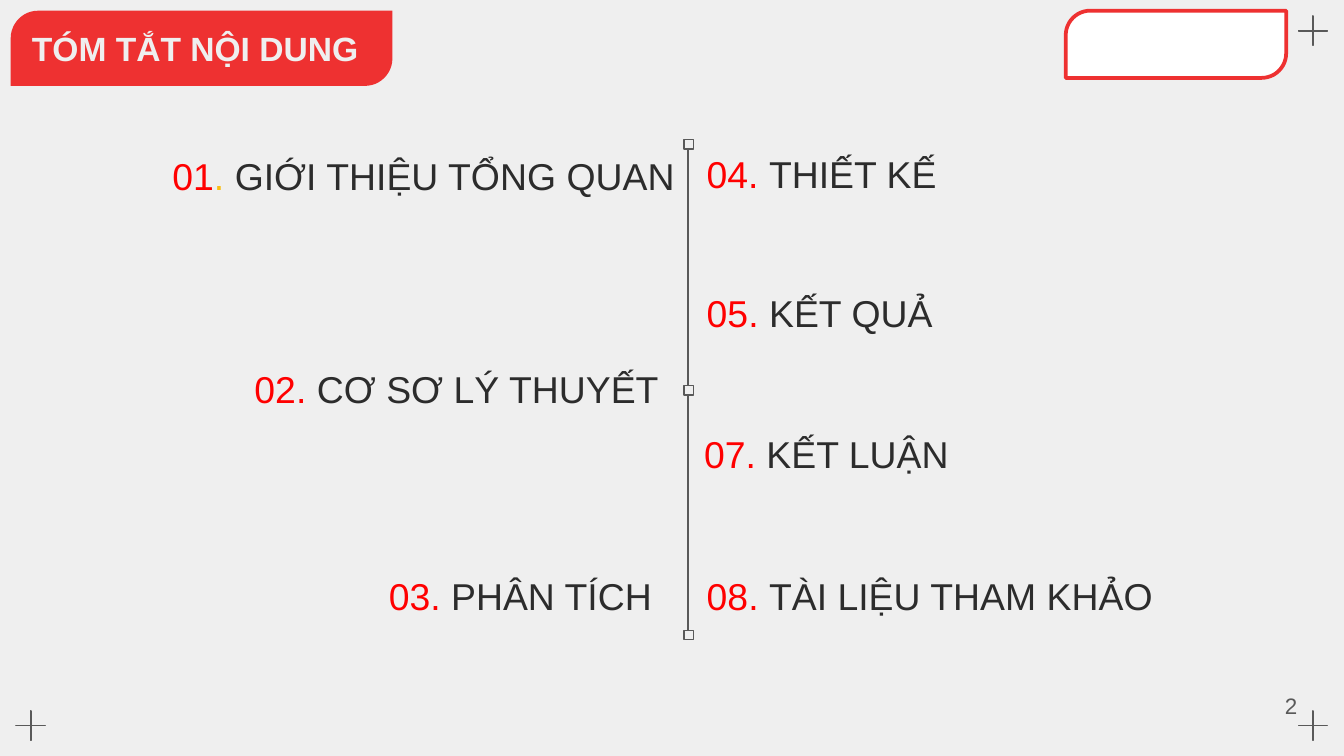
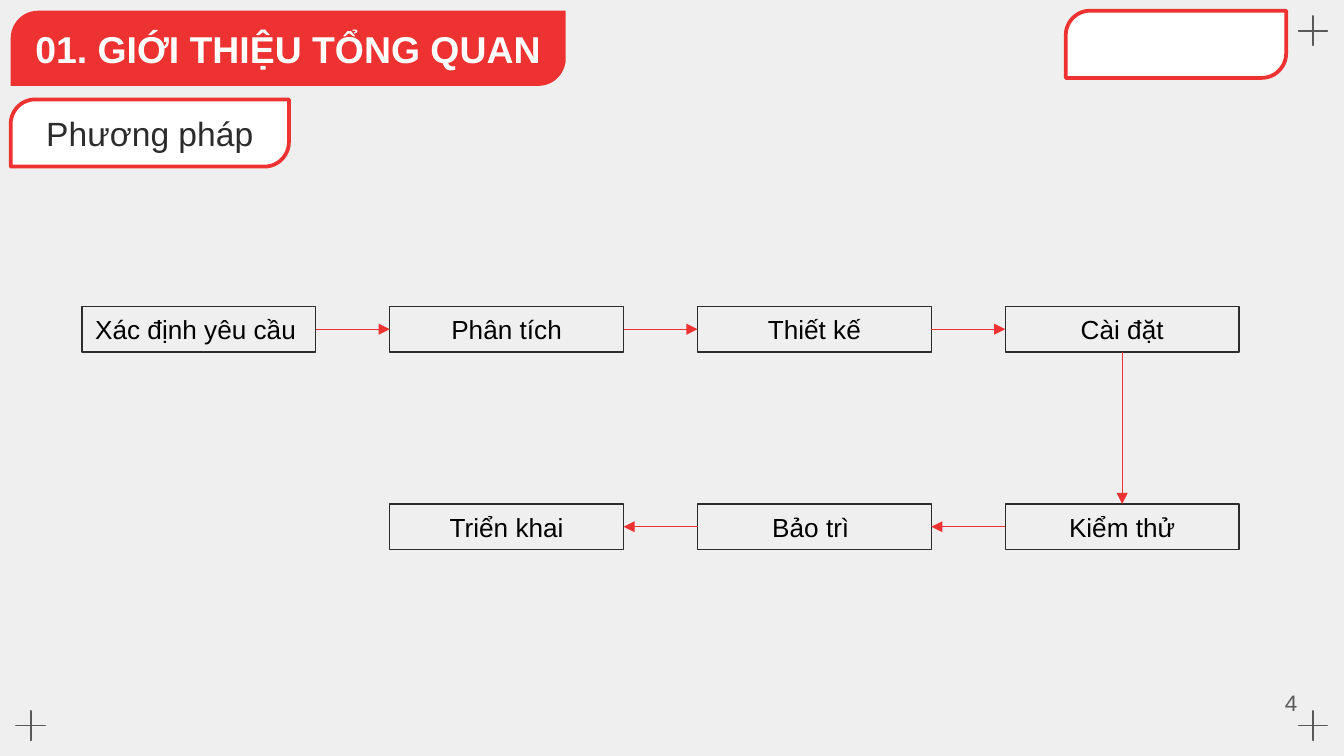
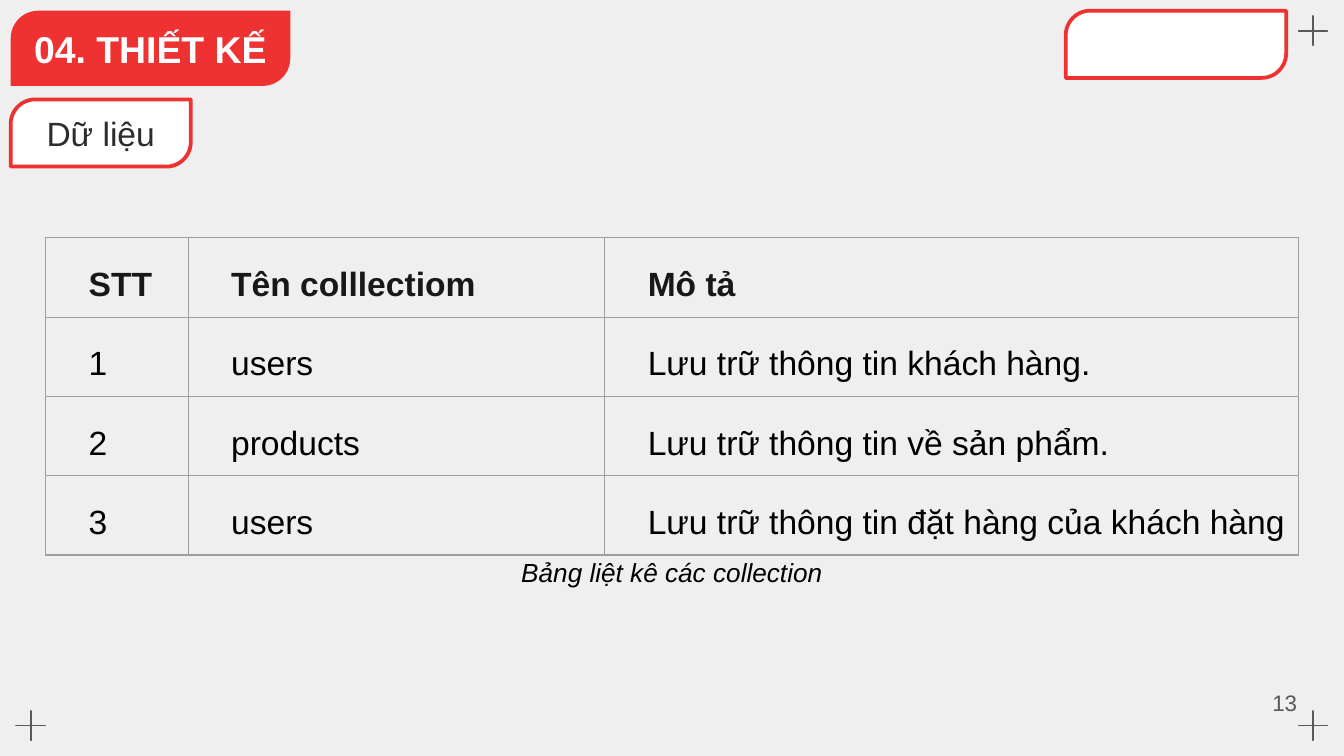
from lxml import etree
from pptx import Presentation
from pptx.dml.color import RGBColor
from pptx.enum import shapes as sh, text as tx
from pptx.oxml import ns
from pptx.util import Inches, Pt

RED = RGBColor(0xEE, 0x31, 0x31)
BRIGHT = RGBColor(0xFF, 0x00, 0x00)
GOLD = RGBColor(0xFA, 0xBE, 0x12)
PALE = RGBColor(0xEF, 0xEF, 0xEF)
WHITE = RGBColor(0xFF, 0xFF, 0xFF)
BLACK = RGBColor(0x00, 0x00, 0x00)
INK = RGBColor(0x18, 0x18, 0x18)
DARK = RGBColor(0x2C, 0x2C, 0x2C)
GREY = RGBColor(0x59, 0x59, 0x59)
RULE = "9E9E9E"

LEFT, MID, RIGHT = tx.PP_ALIGN.LEFT, tx.PP_ALIGN.CENTER, tx.PP_ALIGN.RIGHT
RECT = sh.MSO_SHAPE.RECTANGLE
PLUS = sh.MSO_SHAPE.MATH_PLUS
LEAF = sh.MSO_SHAPE.ROUND_2_DIAG_RECTANGLE
ROUND = {PLUS: 0.007, LEAF: 0.366}


def draw(page, kind, at, fill=None, line=None, width=0.75):
    """Add a preset shape with a plain fill and outline."""
    item = page.shapes.add_shape(kind, *map(Inches, at))
    item.shadow.inherit = False
    if kind in ROUND:
        item.adjustments[0] = ROUND[kind]
    if fill is None:
        item.fill.background()
    else:
        item.fill.solid()
        item.fill.fore_color.rgb = fill
    if line is None:
        item.line.fill.background()
    else:
        item.line.color.rgb = line
        item.line.width = Pt(width)
    return item


def write(frame, runs, size, align=MID, bold=False, italic=False):
    """Fill the first paragraph with (words, colour) runs."""
    frame.word_wrap = True
    para = frame.paragraphs[0]
    para.alignment = align
    for words, tone in runs:
        run = para.add_run()
        run.text = words
        font = run.font
        font.name, font.size = "Arial", Pt(size)
        font.bold, font.italic = bold, italic
        font.color.rgb = tone
    return para


deck = Presentation()
deck.slide_width, deck.slide_height = Inches(10), Inches(5.625)

# Shared frame: corner marks, title band, empty badge, tab, page number
heads = [
    ("TÓM TẮT NỘI DUNG", 2.84, 18, PALE, LEFT, None, 0, "2", 5.1),
    ("01. GIỚI THIỆU TỔNG QUAN", 4.13, 20, WHITE, MID, "Phương pháp", 2.07, "4", 5.08),
    ("04. THIẾT KẾ", 2.08, 20, WHITE, MID, "Dữ liệu", 1.34, "13", 5.08),
]
pages = []
for title, wide, size, tone, align, tab, span, num, top in heads:
    page = deck.slides.add_slide(deck.slide_layouts[6])
    page.background.fill.solid()
    page.background.fill.fore_color.rgb = PALE
    for x, y in [(9.62, 0.08), (0.08, 5.25), (9.62, 5.25)]:
        draw(page, PLUS, (x, y, 0.3, 0.3), line=GREY)
    draw(page, LEAF, (7.93, 0.08, 1.64, 0.5), WHITE, RED, 2)
    band = draw(page, LEAF, (0.08, 0.08, wide, 0.56), RED)
    write(band.text_frame, [(title, tone)], size, align, bold=True)
    if tab:
        flag = draw(page, LEAF, (0.08, 0.74, span, 0.5), WHITE, RED, 2)
        write(flag.text_frame, [(tab, DARK)], 18)
    box = page.shapes.add_textbox(Inches(7.5), Inches(top), Inches(2.25), Inches(0.3))
    box.text_frame.vertical_anchor = tx.MSO_ANCHOR.MIDDLE
    write(box.text_frame, [(num, GREY)], 12, RIGHT)
    pages.append(page)
toc, flow, data = pages
links = []  # page, start, end, colour, arrow

# Contents: entries on both sides of the spine
items = [
    ("01", "GIỚI THIỆU TỔNG QUAN", 1.09, 1.07, 4.03, RIGHT),
    ("02", "CƠ SƠ LÝ THUYẾT", 1.39, 2.66, 3.61, RIGHT),
    ("03", "PHÂN TÍCH", 0.98, 4.2, 3.97, RIGHT),
    ("04", "THIẾT KẾ", 5.16, 1.06, 3.97, LEFT),
    ("05", "KẾT QUẢ", 5.16, 2.09, 3.52, LEFT),
    ("07", "KẾT LUẬN", 5.14, 3.14, 3.6, LEFT),
    ("08", "TÀI LIỆU THAM KHẢO", 5.16, 4.2, 3.78, LEFT),
]
for num, name, x, y, wide, align in items:
    box = toc.shapes.add_textbox(Inches(x), Inches(y), Inches(wide), Inches(0.5))
    frame = box.text_frame
    frame.margin_top = frame.margin_bottom = Inches(0.1)
    frame.vertical_anchor = tx.MSO_ANCHOR.BOTTOM
    dot = GOLD if num == "01" else BRIGHT
    write(frame, [(num, BRIGHT), (". ", dot), (name, DARK)], 20, align)

# Spine: three knots joined by lines
KNOT = 0.07
knots = [1.04, 2.87, 4.69]
for y in knots:
    draw(toc, RECT, (5.09, y, KNOT, KNOT), line=GREY)
for y, end in zip(knots, knots[1:]):
    links.append((toc, (5.12, y + KNOT), (5.12, end), GREY, False))

# Method: steps on a grid, in order of work
WIDE, HIGH, STEP = 1.74, 0.34, 2.29
steps = [
    ("Xác định yêu cầu", 0, 0), ("Phân tích", 1, 0), ("Thiết kế", 2, 0),
    ("Cài đặt", 3, 0), ("Kiểm thử", 3, 1), ("Bảo trì ", 2, 1), ("Triển khai", 1, 1),
]
spots = []
for name, col, row in steps:
    x, y = 0.61 + col * STEP, 2.28 + row * 1.47
    cell = draw(flow, RECT, (x, y, WIDE, HIGH), line=DARK)
    write(cell.text_frame, [(name, BLACK)], 14, MID if spots else LEFT)
    spots.append((x, y))
for (x, y), (to, low) in zip(spots, spots[1:]):
    mid = y + HIGH / 2
    if low > y:
        ends = (x + WIDE / 2, y + HIGH), (x + WIDE / 2, low)
    elif to > x:
        ends = (x + WIDE, mid), (to, mid)
    else:
        ends = (x, mid), (to + WIDE, mid)
    links.append((flow, *ends, RED, True))

# Lines and arrows
for page, start, end, tone, arrow in links:
    line = page.shapes.add_connector(
        sh.MSO_CONNECTOR.STRAIGHT, *map(Inches, start + end))
    line.line.color.rgb = tone
    line.line.width = Pt(0.75)
    if arrow:
        etree.SubElement(line.line._get_or_add_ln(), ns.qn("a:tailEnd"), type="triangle")
    etree.SubElement(line._element.spPr, ns.qn("a:effectLst"))

# Data: table of collections
rows = [
    ("STT", "Tên colllectiom", "Mô tả"),
    ("1", "users", "Lưu trữ thông tin khách hàng."),
    ("2", "products", "Lưu trữ thông tin về sản phẩm."),
    ("3", "users", "Lưu trữ thông tin đặt hàng của khách hàng"),
]
grid = data.shapes.add_table(
    4, 3, Inches(0.34), Inches(1.77), Inches(9.32), Inches(2.13)).table
grid.first_row = grid.horz_banding = False
for col, wide in zip(grid.columns, (1.06, 3.1, 5.16)):
    col.width = Inches(wide)
for r, row in enumerate(rows):
    for c, words in enumerate(row):
        cell = grid.cell(r, c)
        cell.margin_left = cell.margin_right = Inches(0.07)
        cell.margin_top = cell.margin_bottom = Inches(0.07)
        para = write(cell.text_frame, [(words, BLACK if r else INK)], 18,
                     tx.PP_ALIGN.JUSTIFY, bold=r == 0)
        para.line_spacing, para.space_before = 1.5, Pt(2)
        para._p.get_or_add_pPr().set("indent", str(Inches(0.25)))
        props = cell._tc.get_or_add_tcPr()
        for side in ("lnL", "lnR", "lnT", "lnB"):
            edge = etree.SubElement(props, ns.qn("a:" + side), w=str(Pt(0.75)))
            paint = etree.SubElement(edge, ns.qn("a:solidFill"))
            etree.SubElement(paint, ns.qn("a:srgbClr"), val=RULE)
        cell.fill.background()

# Caption under the table
note = data.shapes.add_textbox(Inches(3.42), Inches(4.09), Inches(3.16), Inches(0.34))
write(note.text_frame, [("Bảng liệt kê các collection", BLACK)], 14, italic=True)

deck.save("out.pptx")
